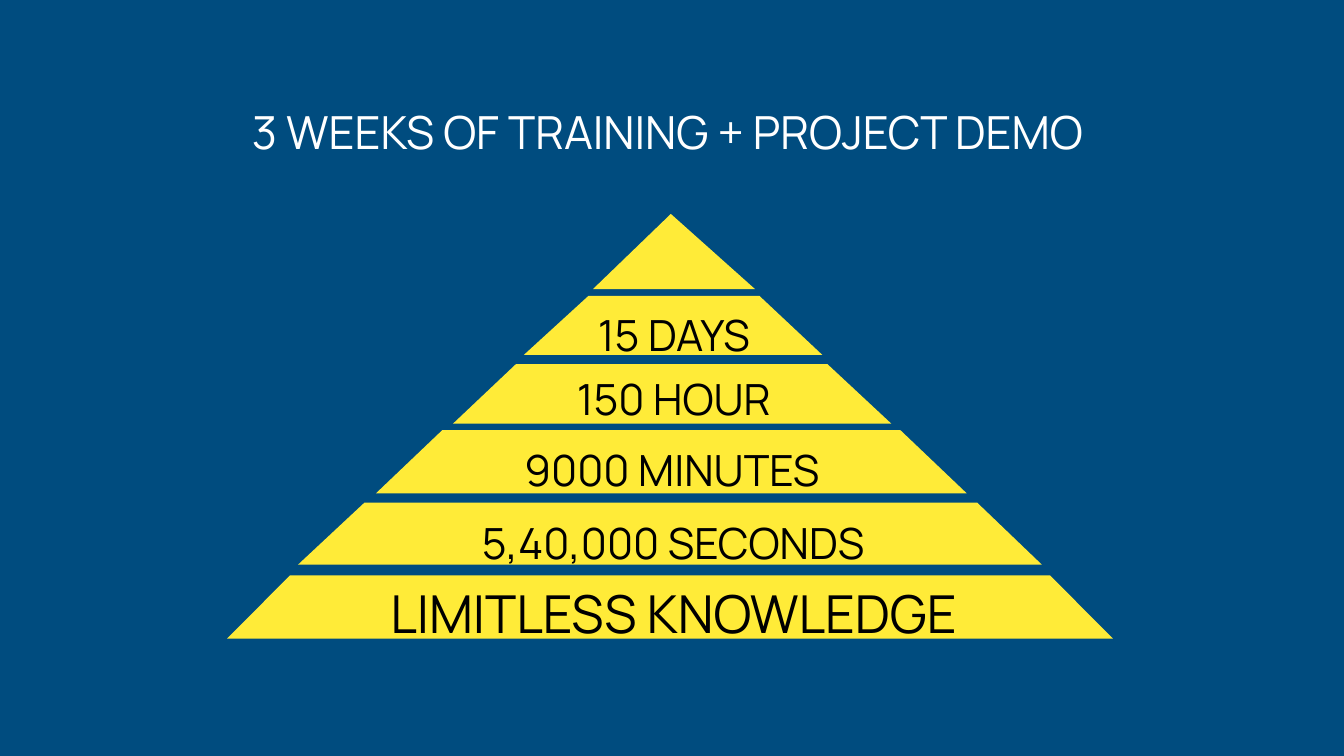
from collections import namedtuple

from pptx import Presentation
from pptx.dml.color import RGBColor
from pptx.enum.text import MSO_ANCHOR, PP_ALIGN
from pptx.util import Inches, Pt

NAVY, YELLOW, WHITE, BLACK = "004C7F", "FFEB38", "FFFFFF", "000000"
FONT = "Manrope"

Box = namedtuple("Box", "left top width height")
Tier = namedtuple("Tier", "top bottom top_left top_right bottom_left bottom_right")
Insets = namedtuple("Insets", "left top right bottom")

# Percent of the pyramid's box
TIERS = [
    Tier(0, 17.7, 50.1, 50.1, 41.3, 59.6),
    Tier(19.3, 33.2, 40.8, 60.1, 33.5, 67.2),
    Tier(35.4, 49.4, 32.6, 67.8, 25.5, 75),
    Tier(50.9, 65.8, 24.3, 76, 16.8, 83.5),
    Tier(68, 82.6, 15.5, 84.7, 8, 92),
    Tier(85.1, 100, 7.1, 92.9, 0, 100),
]
NO_INSETS = Insets(0, 0, 0, 0)
SNUG = dict(insets=Insets(0.03, 0.03, 0.03, 0.03))
CENTRED = dict(anchor=MSO_ANCHOR.MIDDLE, spacing=1.1)
LABELS = [
    ("15 DAYS", Box(36.7, 21.3, 27.5, 11.4), 23, SNUG),
    ("150 HOUR", Box(33.6, 36.5, 33.7, 11.4), 23, SNUG),
    ("9000 MINUTES", Box(25.5, 53.2, 49.5, 11.4), 23, SNUG),
    ("5,40,000 SECONDS", Box(-5.3, 71.8, 111.4, 9.8), 23, CENTRED),
    ("LIMITLESS KNOWLEDGE", Box(-5.3, 87, 111.4, 12.3), 28, CENTRED),
]


def rgb(value):
    return RGBColor.from_string(value)


def point_in(box, x, y):
    """Turn percent of a box into a slide position."""
    return (round(box.left + box.width * x / 100),
            round(box.top + box.height * y / 100))


def box_in(box, part):
    return Box(*point_in(box, part.left, part.top),
               round(box.width * part.width / 100),
               round(box.height * part.height / 100))


def add_text(slide, box, wording, size, color,
             anchor=MSO_ANCHOR.TOP, spacing=None, insets=NO_INSETS):
    frame = slide.shapes.add_textbox(*box).text_frame
    frame.word_wrap = True
    frame.vertical_anchor = anchor
    for side, inset in insets._asdict().items():
        setattr(frame, f"margin_{side}", Inches(inset))
    line = frame.paragraphs[0]
    line.alignment = PP_ALIGN.CENTER
    line.line_spacing = spacing
    run = line.add_run()
    run.text = wording
    for name, value in {"name": FONT, "size": Pt(size)}.items():
        setattr(run.font, name, value)
    run.font.color.rgb = rgb(color)


def add_title(slide, box):
    add_text(slide, box, "3 WEEKS OF TRAINING + PROJECT DEMO", 24.4, WHITE,
             spacing=1.1, insets=Insets(0, 0.05, 0.07, 0))


def add_tier(slide, box, tier):
    corners = [(tier.bottom_left, tier.bottom), (tier.top_left, tier.top),
               (tier.top_right, tier.top), (tier.bottom_right, tier.bottom)]
    points = list(dict.fromkeys(point_in(box, *corner) for corner in corners))
    outline = slide.shapes.build_freeform(*points[0])
    outline.add_line_segments(points[1:], close=True)
    band = outline.convert_to_shape()
    band.shadow.inherit = False
    band.fill.solid()
    band.fill.fore_color.rgb = rgb(YELLOW)
    band.line.fill.background()


def add_pyramid(slide, box):
    for tier in TIERS:
        add_tier(slide, box, tier)
    for wording, part, size, layout in LABELS:
        add_text(slide, box_in(box, part), wording, size, BLACK, **layout)


def main():
    deck = Presentation()
    deck.slide_width = Inches(10)
    deck.slide_height = deck.slide_width * 9 // 16
    page = Box(0, 0, deck.slide_width, deck.slide_height)
    slide = deck.slides.add_slide(deck.slide_layouts[6])
    slide.background.fill.solid()
    slide.background.fill.fore_color.rgb = rgb(NAVY)

    add_title(slide, box_in(page, Box(0, 12.1, 100, 19.56)))
    add_pyramid(slide, box_in(page, Box(16.9, 28.3, 65.9, 56.18)))
    deck.save("out.pptx")


if __name__ == "__main__":
    main()
